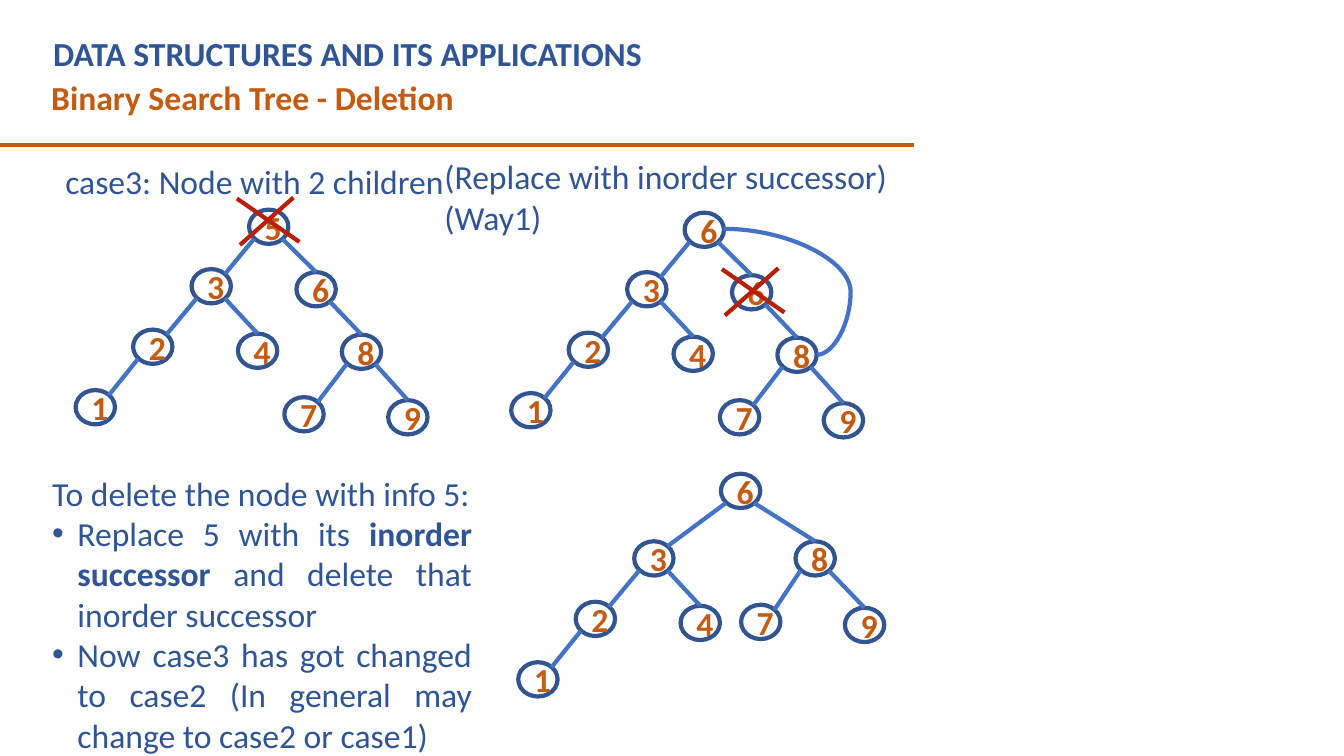
"""Build the slide on deleting a binary search tree node that has two children."""
from dataclasses import dataclass, replace

from lxml.etree import SubElement
from pptx import Presentation
from pptx.dml.color import RGBColor
from pptx.enum.shapes import MSO_CONNECTOR, MSO_SHAPE
from pptx.enum.text import MSO_ANCHOR, MSO_AUTO_SIZE, PP_ALIGN
from pptx.oxml.ns import qn
from pptx.shapes.connector import Connector
from pptx.slide import Slide
from pptx.text.text import Font, TextFrame
from pptx.util import Inches, Pt

COLORS = {
    "orange": "C55A11",
    "text_blue": "2F5597",
    "node_outline": "325491",
    "edge": "4472C4",
    "cross": "B81F06",
    "white": "FFFFFF",
}
NODE_WIDTH, NODE_HEIGHT = 0.39, 0.34
Point = tuple[float, float]


@dataclass(frozen=True)
class Node:
    label: str
    left: float
    top: float
    parent: int | None = None
    is_left: bool = True


@dataclass(frozen=True)
class Label:
    text: str
    left: float
    top: float
    width: float
    height: float = 0.5
    color: str = "text_blue"
    bold: bool = False
    wrap: bool = True


def shifted(nodes: list[Node], right: float, down: float) -> list[Node]:
    return [replace(node, left=node.left + right, top=node.top + down) for node in nodes]


START_TREE = [
    Node("5", 2.47, 2.08),
    Node("3", 1.9, 2.67, 0),
    Node("2", 1.32, 3.27, 1),
    Node("4", 2.36, 3.31, 1, False),
    Node("1", 0.75, 3.87, 2),
    Node("6", 2.94, 2.7, 0, False),
    Node("8", 3.39, 3.32, 5, False),
    Node("7", 2.82, 3.94, 6),
    Node("9", 3.85, 3.97, 6, False),
]
REPLACED_TREE = shifted([replace(START_TREE[0], label="6"), *START_TREE[1:]], 4.32, 0.03)
FINAL_TREE = [
    Node("6", 7.15, 4.7),
    *shifted(START_TREE[1:5], 4.39, 2.7),
    Node("8", 7.89, 5.37, 0, False),
    Node("7", 7.35, 6, 5),
    Node("9", 8.38, 6.03, 5, False),
]
CROSS_CORNERS = [(2.35, 1.96), (6.97 + 0.19, 2.66)]

LABELS = [
    Label("Binary Search Tree - Deletion", 0.41, 0.71, 8.75, color="orange", bold=True),
    Label("DATA STRUCTURES AND ITS APPLICATIONS", 0.43, 0.28, 8.2, bold=True),
    Label("(Replace with inorder successor)", 4.31, 1.5, 4.63, wrap=False),
    Label("(Way1)", 4.31, 1.9, 1.17, wrap=False),
]
STEPS = [
    [("To delete the node with info 5:", False)],
    [
        ("Replace 5 with its ", False),
        ("inorder successor ", True),
        ("and delete that inorder successor", False),
    ],
    [("Now case3 has got changed to case2 (In general may change to case2 or case1)", False)],
]


def color(name: str) -> RGBColor:
    return RGBColor.from_string(COLORS[name])


def style_font(font: Font, color_name: str, bold: bool = False) -> None:
    font.name = "Calibri"
    font.size = Pt(24)
    font.bold = bold
    font.color.rgb = color(color_name)


def add_line(slide: Slide, start: Point, end: Point, color_name: str,
             kind: MSO_CONNECTOR = MSO_CONNECTOR.STRAIGHT) -> Connector:
    points = [Inches(value) for value in (*start, *end)]
    connector = slide.shapes.add_connector(kind, *points)
    connector.line.color.rgb = color(color_name)
    connector.line.width = Pt(3)
    SubElement(connector._element.spPr, qn("a:effectLst"))
    return connector


def add_text_frame(slide: Slide, left: float, top: float, width: float, height: float) -> TextFrame:
    box = slide.shapes.add_textbox(Inches(left), Inches(top), Inches(width), Inches(height))
    box.text_frame.word_wrap = True
    return box.text_frame


def add_label(slide: Slide, label: Label) -> None:
    frame = add_text_frame(slide, label.left, label.top, label.width, label.height)
    frame.word_wrap = label.wrap
    frame.auto_size = MSO_AUTO_SIZE.SHAPE_TO_FIT_TEXT
    paragraph = frame.paragraphs[0]
    paragraph.text = label.text
    style_font(paragraph.font, label.color, label.bold)


def add_case_heading(slide: Slide) -> None:
    frame = add_text_frame(slide, 0.55, 1.4, 8.4, 5.45)
    frame.margin_top = frame.margin_bottom = 0
    paragraph = frame.paragraphs[0]
    paragraph.text = "case3: Node with 2 children"
    paragraph.alignment = PP_ALIGN.JUSTIFY
    paragraph.line_spacing = 1.5
    style_font(paragraph.font, "text_blue")


def add_steps(slide: Slide) -> None:
    frame = add_text_frame(slide, 0.42, 4.64, 4.36, 2.93)
    for index, runs in enumerate(STEPS):
        paragraph = frame.add_paragraph() if index else frame.paragraphs[0]
        paragraph.alignment = PP_ALIGN.JUSTIFY
        properties = paragraph._p.get_or_add_pPr()
        properties.set("marL", str(Inches(0.25)))
        properties.set("indent", str(Inches(-0.25)))
        if index:
            SubElement(properties, qn("a:buFont"), typeface="Arial")
            SubElement(properties, qn("a:buChar"), char="•")
        style_font(paragraph.font, "text_blue")
        for text, bold in runs:
            run = paragraph.add_run()
            run.text = text
            if bold:
                run.font.bold = True


def add_node(slide: Slide, node: Node) -> None:
    shape = slide.shapes.add_shape(
        MSO_SHAPE.OVAL, Inches(node.left), Inches(node.top), Inches(NODE_WIDTH), Inches(NODE_HEIGHT))
    shape.shadow.inherit = False
    shape.fill.solid()
    shape.fill.fore_color.rgb = color("white")
    shape.line.color.rgb = color("node_outline")
    shape.line.width = Pt(3)
    shape.text_frame.vertical_anchor = MSO_ANCHOR.MIDDLE
    paragraph = shape.text_frame.paragraphs[0]
    paragraph.text = node.label
    paragraph.alignment = PP_ALIGN.CENTER
    style_font(paragraph.font, "orange", True)


def add_tree(slide: Slide, nodes: list[Node]) -> None:
    for node in nodes:
        add_node(slide, node)
        if node.parent is None:
            continue
        parent = nodes[node.parent]
        start = (parent.left + (0.05 if node.is_left else 0.33), parent.top + 0.29)
        end_offset = (0.33, 0.05) if node.is_left else (NODE_WIDTH / 2, 0)
        add_line(slide, start, (node.left + end_offset[0], node.top + end_offset[1]), "edge")


def add_cross(slide: Slide, left: float, top: float) -> None:
    add_line(slide, (left + 0.03, top + 0.47), (left + 0.56, top), "cross")
    add_line(slide, (left, top + 0.01), (left + 0.62, top + 0.44), "cross")


def main() -> None:
    presentation = Presentation()
    presentation.slide_width, presentation.slide_height = Inches(13.33), Inches(7.5)
    slide = presentation.slides.add_slide(presentation.slide_layouts[6])
    add_line(slide, (-0.01, 1.44), (9.07, 1.44), "orange")
    add_case_heading(slide)
    for label in LABELS:
        add_label(slide, label)
    add_steps(slide)
    for tree in (START_TREE, REPLACED_TREE, FINAL_TREE):
        add_tree(slide, tree)
    for left, top in CROSS_CORNERS:
        add_cross(slide, left, top)
    curve = add_line(slide, (7.18, 2.27), (8.1, 3.52), "edge", MSO_CONNECTOR.CURVE)
    adjustments = curve._element.spPr.find(qn("a:prstGeom")).find(qn("a:avLst"))
    SubElement(adjustments, qn("a:gd"), name="adj1", fmla="val 136600")
    presentation.save("out.pptx")


if __name__ == "__main__":
    main()
